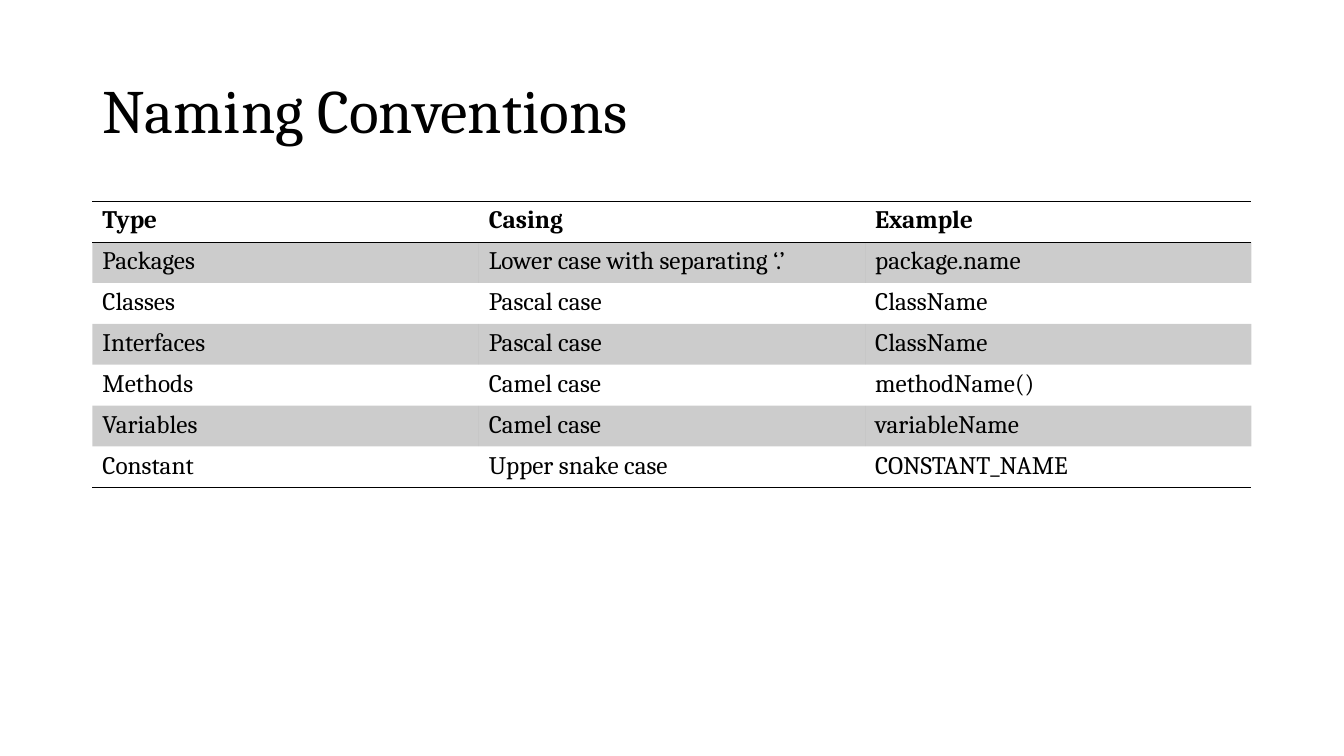
from lxml.etree import SubElement
from pptx import Presentation
from pptx.dml.color import RGBColor
from pptx.enum.text import MSO_ANCHOR
from pptx.oxml.ns import qn
from pptx.util import Pt

TITLE = "Naming Conventions"
CONVENTIONS = [
    ("Type", "Casing", "Example"),
    ("Packages", "Lower case with separating ‘.’", "package.name"),
    ("Classes", "Pascal case", "ClassName"),
    ("Interfaces", "Pascal case", "ClassName"),
    ("Methods", "Camel case", "methodName()"),
    ("Variables", "Camel case", "variableName"),
    ("Constant", "Upper snake case", "CONSTANT_NAME"),
]

BLACK = RGBColor(0x00, 0x00, 0x00)
FONT = "Cambria"
BAND_OPACITY = 20
NO_STYLE_NO_GRID = "{2D5ABB26-0587-4C30-8999-92F81FD0307C}"

LEFT, WIDTH = 66, 828
TITLE_TOP, TITLE_HEIGHT = 28.75, 104.37
TABLE_TOP, ROW_HEIGHT = 143.75, 29.2


def set_font(paragraph, size, bold=False):
    font = paragraph.font
    font.name, font.size, font.bold = FONT, Pt(size), bold
    font.color.rgb = BLACK


def add_rule(cell, side):
    """Draw a 1 pt black border; side is lnT or lnB."""
    border = SubElement(cell._tc.get_or_add_tcPr(), qn(f"a:{side}"), w=str(Pt(1)))
    color_fill = SubElement(border, qn("a:solidFill"))
    SubElement(color_fill, qn("a:srgbClr"), val=str(BLACK))


def shade(cell):
    cell.fill.solid()
    cell.fill.fore_color.rgb = BLACK
    color = cell._tc.tcPr.find(qn("a:solidFill")).find(qn("a:srgbClr"))
    SubElement(color, qn("a:alpha"), val=str(BAND_OPACITY * 1000))


def add_title(slide):
    frame = slide.shapes.add_textbox(
        Pt(LEFT), Pt(TITLE_TOP), Pt(WIDTH), Pt(TITLE_HEIGHT)).text_frame
    frame.word_wrap = True
    frame.vertical_anchor = MSO_ANCHOR.MIDDLE
    heading = frame.paragraphs[0]
    heading.text = TITLE
    heading.line_spacing = 0.9
    set_font(heading, 44)


def add_conventions(slide):
    row_count, column_count = len(CONVENTIONS), len(CONVENTIONS[0])
    table = slide.shapes.add_table(
        row_count, column_count, Pt(LEFT), Pt(TABLE_TOP),
        Pt(WIDTH), Pt(ROW_HEIGHT * row_count)).table
    table._tbl.tblPr.find(qn("a:tableStyleId")).text = NO_STYLE_NO_GRID
    for column in table.columns:
        column.width = Pt(WIDTH / column_count)
    for row_index, entries in enumerate(CONVENTIONS):
        is_header = row_index == 0
        table.rows[row_index].height = Pt(ROW_HEIGHT)
        for column_index, entry in enumerate(entries):
            cell = table.cell(row_index, column_index)
            cell.text = entry
            set_font(cell.text_frame.paragraphs[0], 18, bold=is_header)
            if is_header:
                add_rule(cell, "lnT")
            if is_header or row_index == row_count - 1:
                add_rule(cell, "lnB")
            if row_index % 2:
                shade(cell)
            else:
                cell.fill.background()


def main():
    deck = Presentation()
    deck.slide_width, deck.slide_height = Pt(960), Pt(540)
    slide = deck.slides.add_slide(deck.slide_layouts[6])
    add_title(slide)
    add_conventions(slide)
    deck.save("out.pptx")


if __name__ == "__main__":
    main()
